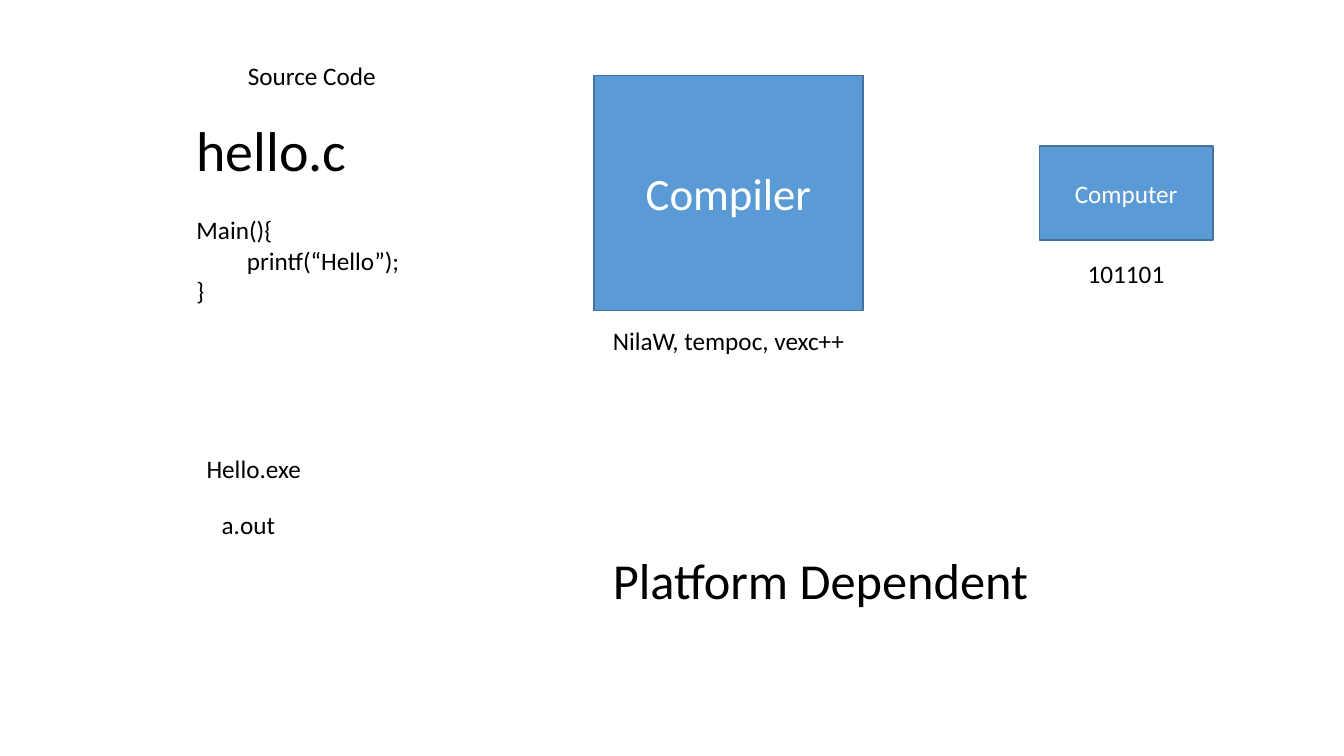
import pptx
import pptx.dml.color
import pptx.enum.shapes
import pptx.enum.text
import pptx.util

EMU_PER_PX = 9144  # 100 px to the inch
BLANK_LAYOUT = 6
FONT = "Calibri"
BLACK = "000000"
WHITE = "FFFFFF"
BLUE = "5B9BD5"
DARK_BLUE = "43739E"


def px(*lengths):
    return [pptx.util.Emu(length * EMU_PER_PX) for length in lengths]


def color(hex_string):
    return pptx.dml.color.RGBColor.from_string(hex_string)


def write_text(text_frame, text, size, text_color, alignment):
    text_frame.text = text
    for paragraph in text_frame.paragraphs:
        paragraph.alignment = alignment
        paragraph.font.name = FONT
        paragraph.font.size = pptx.util.Pt(size)
        paragraph.font.color.rgb = color(text_color)


def add_label(slide, text, left, top, width, height=40, size=18):
    text_frame = slide.shapes.add_textbox(*px(left, top, width, height)).text_frame
    text_frame.word_wrap = False
    text_frame.auto_size = pptx.enum.text.MSO_AUTO_SIZE.SHAPE_TO_FIT_TEXT
    write_text(text_frame, text, size, BLACK, pptx.enum.text.PP_ALIGN.LEFT)


def add_box(slide, text, left, top, width, height, size):
    shape = slide.shapes.add_shape(
        pptx.enum.shapes.MSO_SHAPE.RECTANGLE, *px(left, top, width, height)
    )
    shape.shadow.inherit = False
    shape.fill.solid()
    shape.fill.fore_color.rgb = color(BLUE)
    shape.line.color.rgb = color(DARK_BLUE)
    shape.line.width = pptx.util.Pt(1)
    shape.text_frame.vertical_anchor = pptx.enum.text.MSO_ANCHOR.MIDDLE
    write_text(shape.text_frame, text, size, WHITE, pptx.enum.text.PP_ALIGN.CENTER)


def main():
    presentation = pptx.Presentation()
    presentation.slide_width, presentation.slide_height = px(1333, 750)
    slide = presentation.slides.add_slide(presentation.slide_layouts[BLANK_LAYOUT])

    add_label(slide, "hello.c", 185, 110, 171, height=77, size=40)
    add_label(slide, "Main(){\n\tprintf(“Hello”);\n}", 185, 208, 275, height=101)
    add_label(slide, "Source Code", 236, 55, 149)
    add_label(slide, "101101", 1069, 251, 97)
    add_box(slide, "Computer", 1031, 145, 172, 93, size=18)
    add_box(slide, "Compiler", 589, 75, 267, 233, size=32)
    add_label(slide, "NilaW, tempoc, vexc++", 598, 318, 258)
    add_label(slide, "Hello.exe", 195, 445, 115)
    add_label(slide, "a.out", 210, 500, 74)
    add_label(slide, "Platform Dependent", 598, 540, 437, height=71, size=36)

    presentation.save("out.pptx")


if __name__ == "__main__":
    main()
